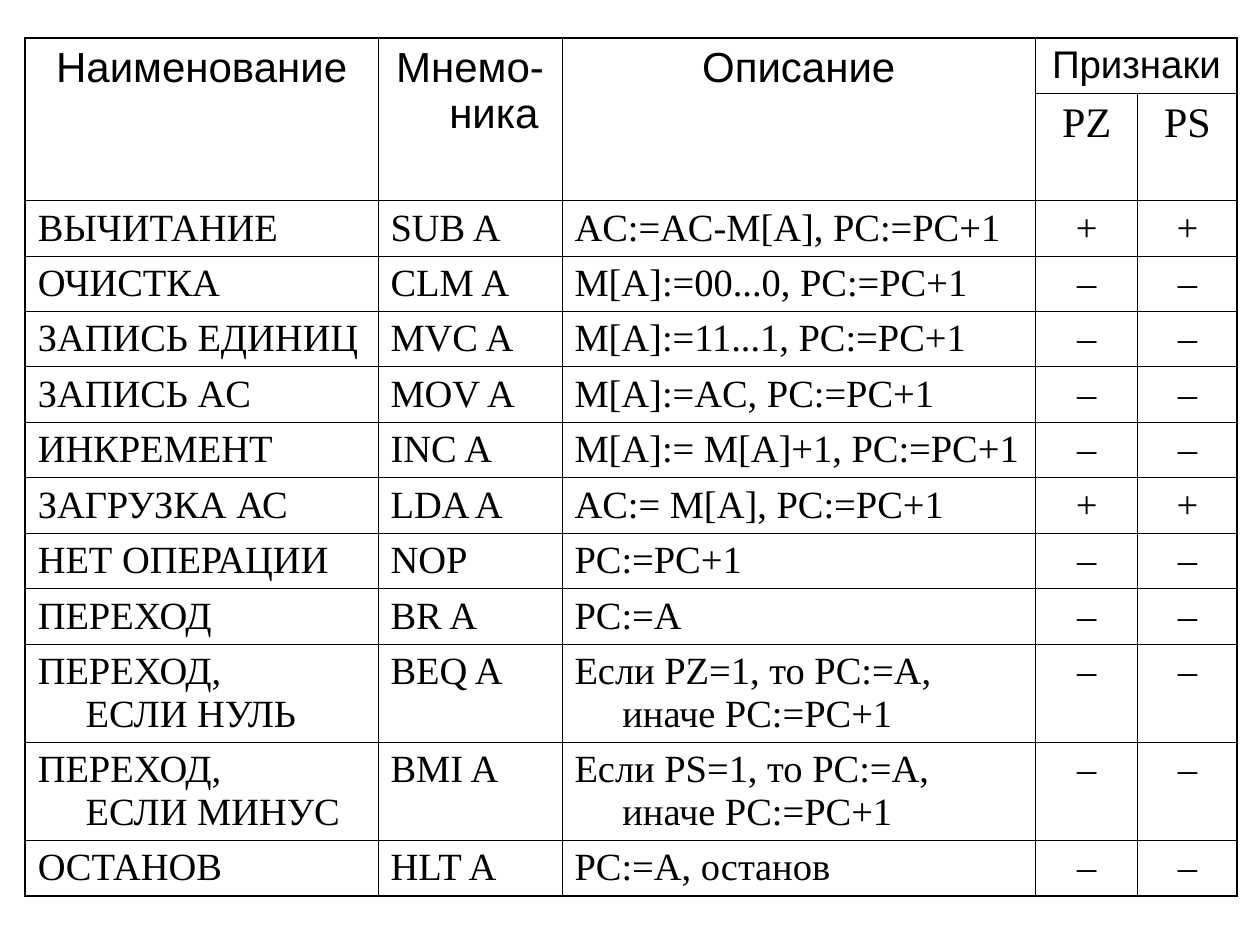
from dataclasses import dataclass

from lxml import etree
from pptx import Presentation, util as u
from pptx.dml import color
from pptx.enum import text
from pptx.oxml import ns


@dataclass(frozen=True)
class Theme:
    ink: str = "000000"
    header_font: str = "Arial"
    body_font: str = "Times New Roman"
    header_size: int = 24
    body_size: int = 22
    thin: float = 0.45
    thick: float = 0.96
    hanging: float = 0.38


GRID_COLUMNS, GRID_ROWS = 100, 75
NO_STYLE = "{2D5ABB26-0587-4C30-8999-92F81FD0307C}"
HEADER_ROWS = 2
COLUMN_WIDTHS = [28, 14.6, 37.6, 8.1, 7.9]
LINE_HEIGHT, ROW_PADDING = 3.4, 1

HEADINGS = ["Наименование", "Мнемо-ника", "Описание"]
FLAGS_HEADING = "Признаки"
FLAGS = ["PZ", "PS"]
# name, mnemonic, description, value of both flags
COMMANDS = [
    ("ВЫЧИТАНИЕ", "SUB A", "AC:=AC-M[A], PC:=PC+1", "+"),
    ("ОЧИСТКА", "CLM A", "M[A]:=00...0, PC:=PC+1", "–"),
    ("ЗАПИСЬ ЕДИНИЦ", "MVC A", "M[A]:=11...1, PC:=PC+1", "–"),
    ("ЗАПИСЬ AC", "MOV A", "M[A]:=AC, PC:=PC+1", "–"),
    ("ИНКРЕМЕНТ", "INC A", "M[A]:= M[A]+1, PC:=PC+1", "–"),
    ("ЗАГРУЗКА АС", "LDA A", "AC:= M[A], PC:=PC+1", "+"),
    ("НЕТ ОПЕРАЦИИ", "NOP", "PC:=PC+1", "–"),
    ("ПЕРЕХОД", "BR A", "PC:=A", "–"),
    ("ПЕРЕХОД,\nЕСЛИ НУЛЬ", "BEQ A", "Если PZ=1, то PC:=A,\nиначе PC:=PC+1", "–"),
    ("ПЕРЕХОД,\nЕСЛИ МИНУС", "BMI A", "Если PS=1, то PC:=A,\nиначе PC:=PC+1", "–"),
    ("ОСТАНОВ", "HLT A", "PC:=A, останов", "–"),
]


class SlideBuilder:
    def __init__(self, presentation, theme):
        self.theme = theme
        self.slide = presentation.slides.add_slide(presentation.slide_layouts[6])
        self.column = presentation.slide_width / GRID_COLUMNS
        self.row = presentation.slide_height / GRID_ROWS

    def table(self, left, top, widths, heights):
        """Add an unstyled table; all lengths are in grid columns and rows."""
        frame = self.slide.shapes.add_table(
            len(heights), len(widths),
            round(left * self.column), round(top * self.row),
            round(sum(widths) * self.column), round(sum(heights) * self.row))
        table = frame.table
        table.first_row = table.horz_banding = False
        frame.element.find(".//" + ns.qn("a:tableStyleId")).text = NO_STYLE
        for column, width in zip(table.columns, widths):
            column.width = round(width * self.column)
        for row, height in zip(table.rows, heights):
            row.height = round(height * self.row)
        return table

    def cell(self, cell, wording, size, font, centred):
        paragraph = cell.text_frame.paragraphs[0]
        paragraph.text = wording
        paragraph.alignment = text.PP_ALIGN.CENTER if centred else text.PP_ALIGN.LEFT
        properties = paragraph._p.get_or_add_pPr()
        hanging = u.Inches(self.theme.hanging)
        properties.set("marL", str(hanging))
        properties.set("indent", str(-hanging))
        for run in paragraph.runs:
            run.font.size = u.Pt(size)
            run.font.name = font
            run.font.color.rgb = color.RGBColor.from_string(self.theme.ink)

    def borders(self, table, header_rows):
        """Rule every cell, heavier around the table and below its header."""
        heavy_rows = {0, header_rows, len(table.rows)}
        heavy_columns = {0, len(table.columns)}
        for row in range(len(table.rows)):
            for column in range(len(table.columns)):
                cell = table.cell(row, column)
                if cell.is_spanned:
                    continue
                sides = {
                    "lnL": column in heavy_columns,
                    "lnR": column + cell.span_width in heavy_columns,
                    "lnT": row in heavy_rows,
                    "lnB": row + cell.span_height in heavy_rows,
                }
                for side, heavy in sides.items():
                    self.border(cell, side, self.theme.thick if heavy else self.theme.thin)
                cell.fill.background()

    def border(self, cell, side, width):
        line = etree.SubElement(cell._tc.get_or_add_tcPr(), ns.qn("a:" + side),
                                w=str(u.Pt(width)))
        fill = etree.SubElement(line, ns.qn("a:solidFill"))
        etree.SubElement(fill, ns.qn("a:srgbClr"), val=self.theme.ink)


def add_command_table(builder):
    theme = builder.theme
    heights = [4.4, 8.5]
    for name, *_ in COMMANDS:
        heights.append(ROW_PADDING + LINE_HEIGHT * (name.count("\n") + 1))
    table = builder.table(2, 3, COLUMN_WIDTHS, heights)

    flags_start = len(HEADINGS)
    for column, heading in enumerate(HEADINGS):
        table.cell(0, column).merge(table.cell(1, column))
        builder.cell(table.cell(0, column), heading, theme.header_size, theme.header_font, True)
    table.cell(0, flags_start).merge(table.cell(0, flags_start + 1))
    builder.cell(table.cell(0, flags_start), FLAGS_HEADING,
                 theme.body_size, theme.header_font, True)
    for column, flag in enumerate(FLAGS, flags_start):
        builder.cell(table.cell(1, column), flag, theme.header_size, theme.body_font, True)

    for row, (*details, flag) in enumerate(COMMANDS, HEADER_ROWS):
        for column, wording in enumerate(details + [flag] * len(FLAGS)):
            builder.cell(table.cell(row, column), wording, theme.body_size,
                         theme.body_font, column >= flags_start)
    builder.borders(table, HEADER_ROWS)


def main():
    presentation = Presentation()
    presentation.slide_width, presentation.slide_height = u.Inches(10), u.Inches(7.5)
    add_command_table(SlideBuilder(presentation, Theme()))
    presentation.save("out.pptx")


if __name__ == "__main__":
    main()
